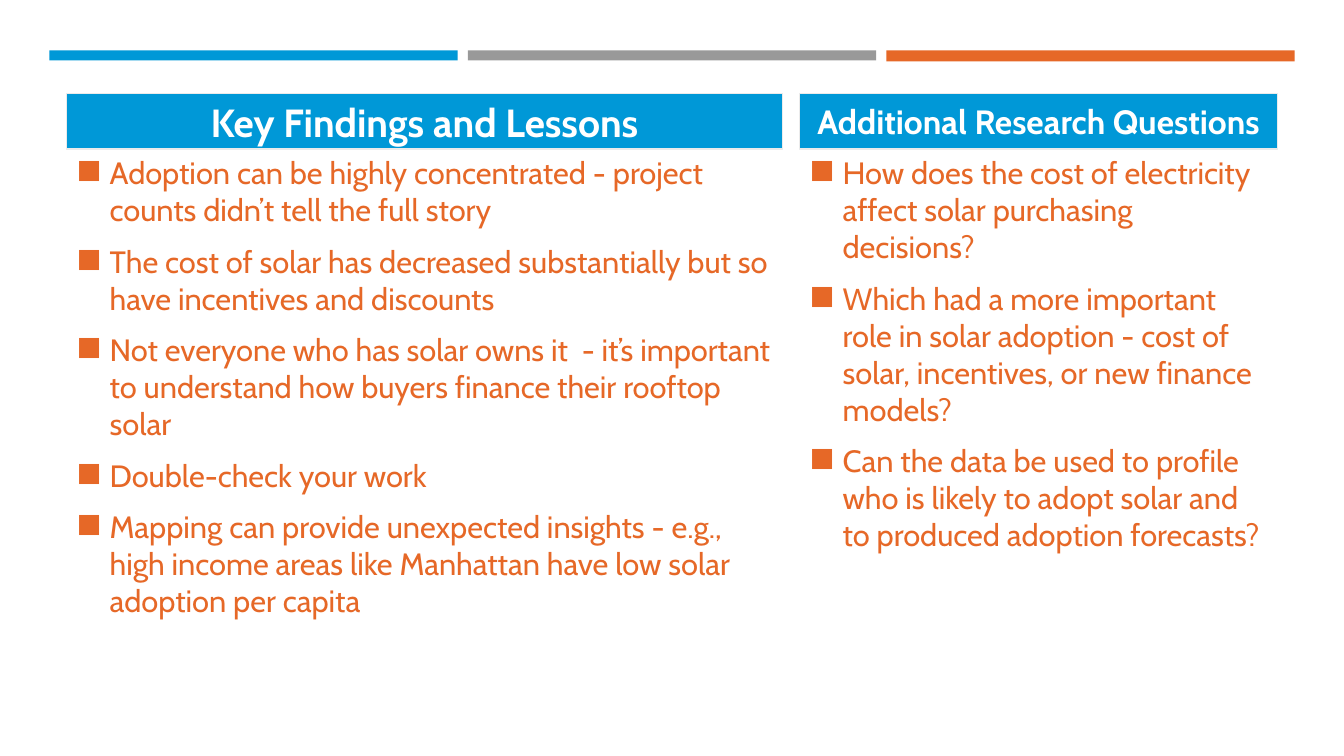
from pptx import Presentation
from pptx.dml.color import RGBColor as RGB
from pptx.enum.shapes import MSO_SHAPE as SHAPE
from pptx.enum.text import MSO_ANCHOR as ANCHOR, PP_ALIGN as ALIGN
from pptx.oxml.ns import qn
from pptx.util import Pt
from lxml.etree import SubElement

PX = 9144  # 100 px to the inch
COLORS = {"blue": "0098D7", "orange": "E66827", "gray": "999999",
          "white": "FFFFFF", "edge": "EBEBEB"}
INDENT = 33 * PX


def color(name):
    return RGB.from_string(COLORS[name])


def add_box(left, top, width, height, fill=None, line=None, weight=1):
    s = slide.shapes.add_shape(SHAPE.RECTANGLE, *(v * PX for v in (left, top, width, height)))
    s.shadow.inherit = False
    if fill:
        s.fill.solid()
        s.fill.fore_color.rgb = color(fill)
    else:
        s.fill.background()
    if line:
        s.line.color.rgb = color(line)
        s.line.width = Pt(weight)
    else:
        s.line.fill.background()
    return s


prs = Presentation()
prs.slide_width, prs.slide_height = 1333 * PX, 750 * PX
slide = prs.slides.add_slide(prs.slide_layouts[6])

# Top bars
for i, (name, height) in enumerate([("blue", 10), ("gray", 10), ("orange", 11)]):
    add_box(49 + i * 415, 50, 405, height, fill=name)

# Columns: left, width, heading, heading size, bullets
columns = [
    (66, 710, "Key Findings and Lessons", 28, [
        "Adoption can be highly concentrated - project counts didn’t tell the full story",
        "The cost of solar has decreased substantially but so have incentives and discounts",
        "Not everyone who has solar owns it  - it’s important to understand how buyers "
        "finance their rooftop solar",
        "Double-check your work",
        "Mapping can provide unexpected insights - e.g., high income areas like Manhattan "
        "have low solar adoption per capita",
    ]),
    (793, 474, "Additional Research Questions", 24, [
        "How does the cost of electricity affect solar purchasing decisions?",
        "Which had a more important role in solar adoption - cost of solar, incentives, "
        "or new finance models?",
        "Can the data be used to profile who is likely to adopt solar and to produced "
        "adoption forecasts?",
    ]),
]

for left, width, heading, size, bullets in columns:
    # Bullet list
    tf = add_box(left, 148, width, 522, line="white", weight=0.75).text_frame
    tf.word_wrap = True
    tf.vertical_anchor = ANCHOR.TOP
    for i, text in enumerate(bullets):
        p = tf.paragraphs[0] if i == 0 else tf.add_paragraph()
        p.alignment = ALIGN.LEFT
        if i:
            p.space_before = Pt(10.4)
        pPr = p._p.get_or_add_pPr()
        pPr.set("marL", str(INDENT))
        pPr.set("indent", str(-INDENT))
        SubElement(SubElement(pPr, qn("a:buClr")), qn("a:srgbClr"), val=COLORS["orange"])
        SubElement(pPr, qn("a:buChar"), char="◼")
        r = p.add_run()
        r.text = text
        for key, value in {"name": "Cabin", "size": Pt(22)}.items():
            setattr(r.font, key, value)
        r.font.color.rgb = color("orange")

    # Heading band
    tf = add_box(left, 93, width, 55, fill="blue", line="edge").text_frame
    for key, value in {"word_wrap": True, "vertical_anchor": ANCHOR.MIDDLE,
                       "margin_left": 9 * PX, "margin_right": 9 * PX,
                       "margin_top": 4 * PX, "margin_bottom": 4 * PX}.items():
        setattr(tf, key, value)
    p = tf.paragraphs[0]
    p.alignment = ALIGN.CENTER
    p.space_after = Pt(6)
    r = p.add_run()
    r.text = heading
    for key, value in {"name": "Cabin", "size": Pt(size), "bold": True}.items():
        setattr(r.font, key, value)
    r.font.color.rgb = color("white")

prs.save("out.pptx")
